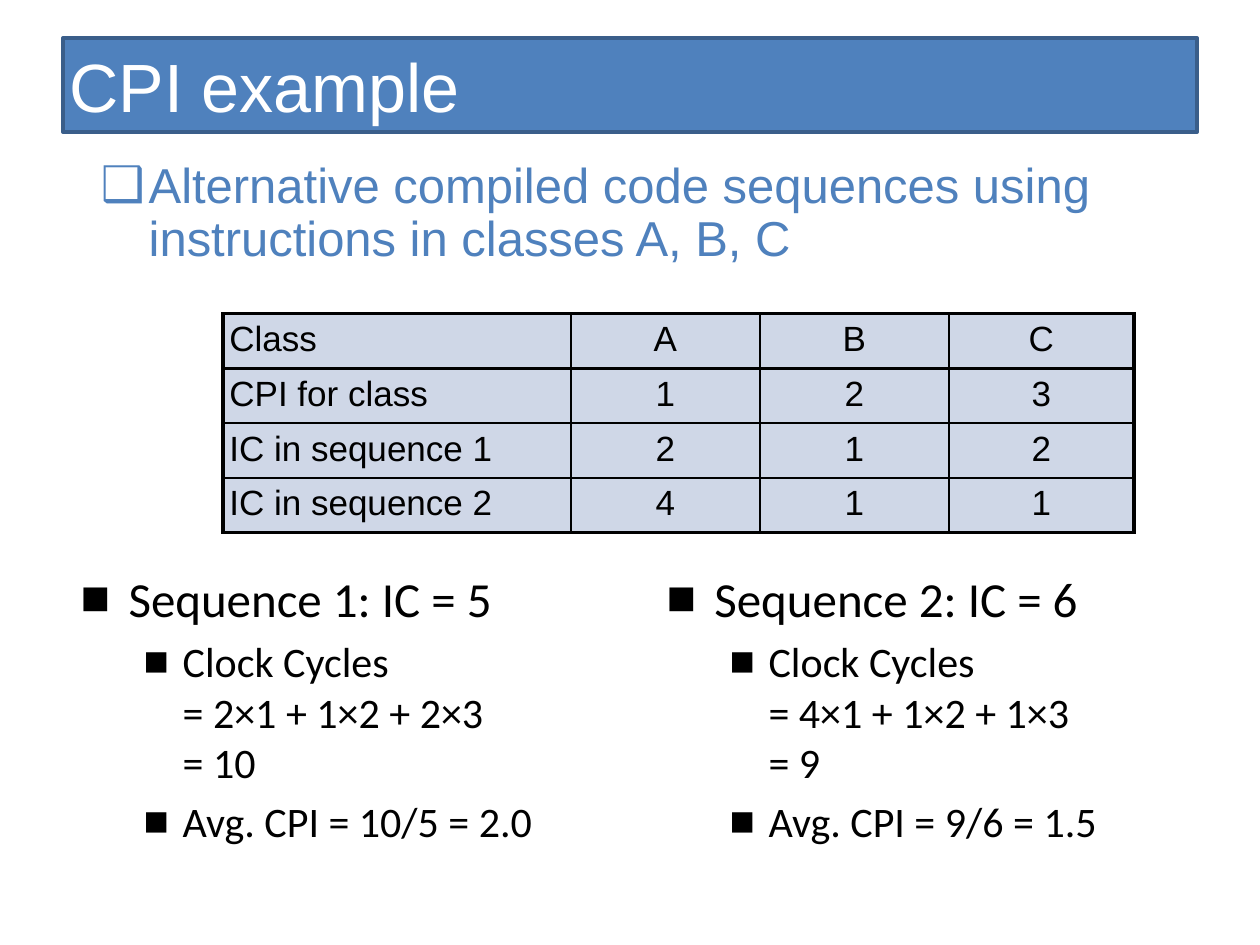
from lxml import etree
from pptx import Presentation
from pptx.dml.color import RGBColor
from pptx.enum.text import MSO_ANCHOR, MSO_AUTO_SIZE, PP_ALIGN
from pptx.oxml.ns import qn
from pptx.util import Inches, Pt

MIDDLE = MSO_ANCHOR.MIDDLE
LEFT, CENTER = PP_ALIGN.LEFT, PP_ALIGN.CENTER
NO_FIT = MSO_AUTO_SIZE.NONE

COLORS = {
    "blue": "4F81BD", "edge": "3A5E8A", "white": "FFFFFF", "black": "000000",
    "cell": "CFD7E7",
}
SIDES = ("left", "top", "width", "height")
THICK, THIN = 2.25, 1
PAD = 0.05

GRID = [
    ["Class", "A", "B", "C"],
    ["CPI for class", "1", "2", "3"],
    ["IC in sequence 1", "2", "1", "2"],
    ["IC in sequence 2", "4", "1", "1"],
]
COLS = [2.76, 1.5, 1.5, 1.47]
ROW = 0.43
CASES = [
    ("Sequence 1: IC = 5", "Clock Cycles\n= 2×1 + 1×2 + 2×3\n= 10",
     "Avg. CPI = 10/5 = 2.0"),
    ("Sequence 2: IC = 6", "Clock Cycles\n= 4×1 + 1×2 + 1×3\n= 9",
     "Avg. CPI = 9/6 = 1.5"),
]


def color(name):
    return RGBColor.from_string(COLORS[name])


def assign(item, values):
    for name, value in values.items():
        setattr(item, name, value)


def inset(item):
    for side in ("left", "right", "top", "bottom"):
        setattr(item, "margin_" + side, Inches(PAD))


def paint(item, ink):
    item.fill.solid()
    item.fill.fore_color.rgb = color(ink)


def write(para, text, size, face, ink, **layout):
    para.text = text
    assign(para, layout)
    for run in para.runs:
        assign(run.font, {"size": Pt(size), "name": face})
        run.font.color.rgb = color(ink)


def bullet(para, mark, ink, left, hang):
    props = para._p.get_or_add_pPr()
    props.set("marL", str(Inches(left)))
    props.set("indent", str(-Inches(hang)))
    tint = etree.SubElement(props, qn("a:buClr"))
    etree.SubElement(tint, qn("a:srgbClr"), val=COLORS[ink])
    etree.SubElement(props, qn("a:buFont"), typeface="Arial")
    etree.SubElement(props, qn("a:buChar"), char=mark)


def border(cell, widths):
    """Draw the cell's edges; widths are left, right, top, bottom."""
    props = cell._tc.get_or_add_tcPr()
    for side, width in zip("LRTB", widths):
        line = etree.SubElement(props, qn("a:ln" + side), w=str(Pt(width)))
        fill = etree.SubElement(line, qn("a:solidFill"))
        etree.SubElement(fill, qn("a:srgbClr"), val=COLORS["black"])


def add_text(slide, box):
    frame = slide.shapes.add_textbox(*map(Inches, box)).text_frame
    frame.word_wrap = True
    inset(frame)
    return frame


def add_title(slide, text):
    title = slide.shapes.title
    assign(title, dict(zip(SIDES, map(Inches, (0.5, 0.3, 9, 0.75)))))
    paint(title, "blue")
    title.line.color.rgb = color("edge")
    title.line.width = Pt(2)
    frame = title.text_frame
    assign(frame, {"vertical_anchor": MIDDLE, "auto_size": NO_FIT})
    inset(frame)
    write(frame.paragraphs[0], text, 39, "Arial", "white", alignment=LEFT)


def add_lead(slide, text):
    para = add_text(slide, (0.75, 1.23, 9.05, 1.09)).paragraphs[0]
    write(para, text, 28, "Arial", "blue", line_spacing=0.9)
    bullet(para, "❑", "blue", 0.38, 0.38)


def add_grid(slide):
    rows, cols = len(GRID), len(COLS)
    box = (1.77, 2.49, sum(COLS), ROW * rows)
    table = slide.shapes.add_table(rows, cols, *map(Inches, box)).table
    assign(table, {"first_row": False, "horz_banding": False})
    for col, width in zip(table.columns, COLS):
        col.width = Inches(width)
    for r, texts in enumerate(GRID):
        for c, text in enumerate(texts):
            cell = table.cell(r, c)
            thick = (c == 0, c == cols - 1, r < 2, r in (0, rows - 1))
            border(cell, [THICK if edge else THIN for edge in thick])
            paint(cell, "cell")
            inset(cell)
            write(cell.text_frame.paragraphs[0], text, 20, "Arial", "black",
                  alignment=CENTER if c else LEFT)


def add_case(slide, left, texts):
    frame = add_text(slide, (left, 4.46, 4.25, 2.36))
    head, *points = texts
    para = frame.paragraphs[0]
    write(para, head, 28, "Calibri", "black")
    bullet(para, "■", "black", 0.38, 0.38)
    for text in points:
        para = frame.add_paragraph()
        write(para, text, 24, "Calibri", "black", level=1, space_before=Pt(5))
        bullet(para, "■", "black", 0.81, 0.31)


def main():
    deck = Presentation()
    assign(deck, {"slide_width": Inches(10), "slide_height": Inches(7.5)})
    slide = deck.slides.add_slide(deck.slide_layouts[5])
    add_title(slide, "CPI example")
    add_lead(slide, "Alternative compiled code sequences using "
                    "instructions in classes A, B, C")
    add_grid(slide)
    for i, texts in enumerate(CASES):
        add_case(slide, 0.59 + 4.65 * i, texts)
    deck.save("out.pptx")


if __name__ == "__main__":
    main()
